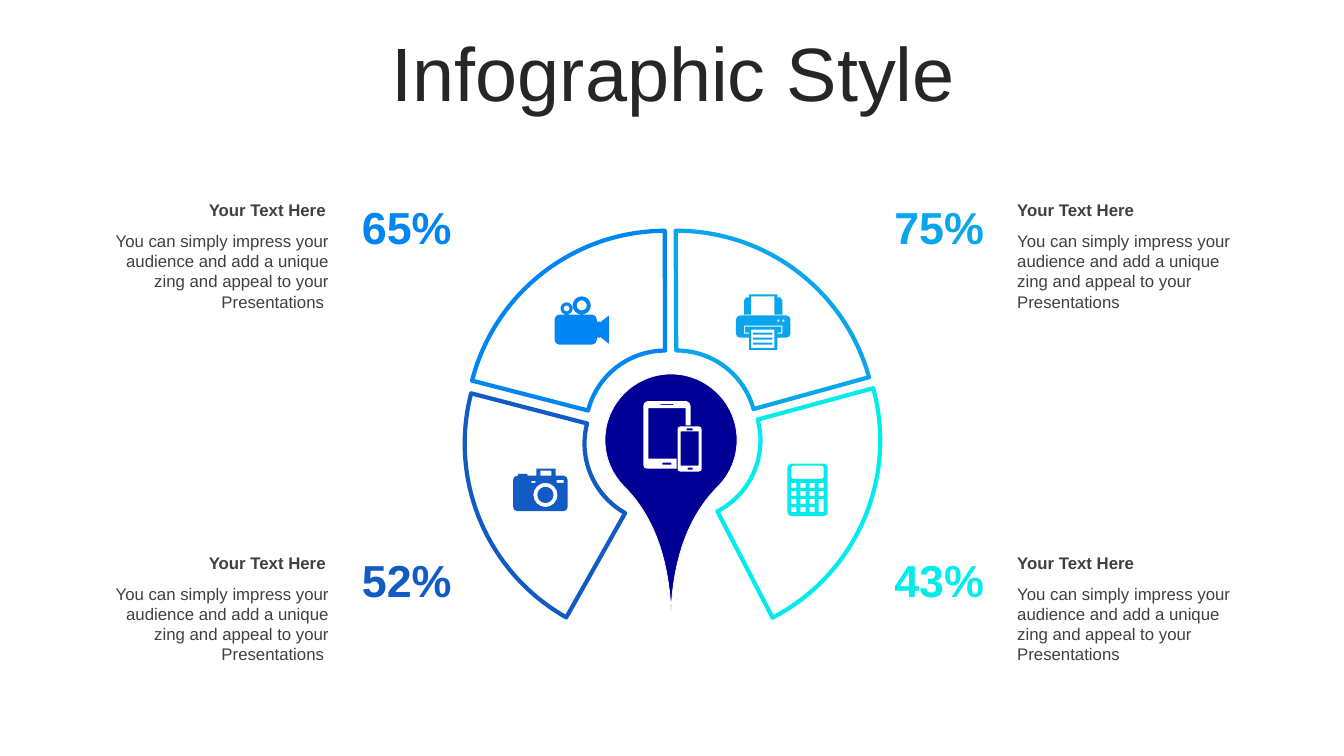
import math
from pptx import Presentation
from pptx import util as u
from pptx.dml.color import RGBColor
from pptx.enum import shapes, text

BLUE, SKY, CYAN, COBALT, NAVY = "0085F2", "0AA6ED", "02ECEC", "125AC4", "000096"
WHITE, DARK, GREY = "FFFFFF", "262626", "404040"
BODY = ("You can simply impress your audience and add a unique "
        "zing and appeal to your Presentations")


def paint(colour_format, value):
    colour_format.rgb = RGBColor.from_string(value)


def fill(shape, value):
    shape.shadow.inherit = False
    shape.fill.solid()
    paint(shape.fill.fore_color, value)


def outline(shape, value, points):
    paint(shape.line.color, value)
    shape.line.width = u.Pt(points)


def style(paragraph, size, colour, align, bold=False):
    paragraph.alignment = align
    paragraph.font.name = "Arial"
    paragraph.font.size = u.Pt(size)
    paragraph.font.bold = bold
    paint(paragraph.font.color, colour)


def label(slide, words, box, size, colour, align, bold=False):
    frame = slide.shapes.add_textbox(*map(u.Inches, box)).text_frame
    frame.word_wrap = True
    frame.auto_size = text.MSO_AUTO_SIZE.SHAPE_TO_FIT_TEXT
    frame.text = words
    style(frame.paragraphs[0], size, colour, align, bold)


# Outlines for the icons, in inches from the icon's corner
def rect(x, y, w, h):
    return [(x, y), (x + w, y), (x + w, y + h), (x, y + h)]


def rounded(x, y, w, h, r, steps=2):
    centres = [(x + w - r, y + h - r), (x + r, y + h - r),
               (x + r, y + r), (x + w - r, y + r)]
    return [(cx + r * math.cos(math.pi / 2 * (corner + step / steps)),
             cy + r * math.sin(math.pi / 2 * (corner + step / steps)))
            for corner, (cx, cy) in enumerate(centres)
            for step in range(steps + 1)]


def circle(cx, cy, r):
    points = 16 if r > 0.04 else 8
    return [(cx + r * math.cos(math.tau * step / points),
             cy + r * math.sin(math.tau * step / points))
            for step in range(points)]


def tablet_and_phone():
    tablet = [(0.04, 0), (0.43, 0), (0.46, 0.02), (0.47, 0.05), (0.47, 0.24),
              (0.42, 0.24), (0.42, 0.07), (0.05, 0.07), (0.05, 0.57),
              (0.33, 0.57), (0.33, 0.67), (0.04, 0.67), (0.01, 0.66),
              (0, 0.63), (0, 0.05), (0.01, 0.02)]
    return [tablet, rect(0.17, 0.03, 0.13, 0.01), rect(0.19, 0.61, 0.09, 0.02),
            rounded(0.34, 0.25, 0.24, 0.45, 0.03), rect(0.37, 0.3, 0.18, 0.34),
            rect(0.43, 0.27, 0.06, 0.02), rect(0.44, 0.66, 0.05, 0.02)]


def camcorder():
    cone = [(0.45, 0.26), (0.54, 0.19), (0.54, 0.47), (0.45, 0.4)]
    return [rounded(0, 0.18, 0.42, 0.3, 0.05), rect(0.42, 0.25, 0.03, 0.16),
            cone, circle(0.27, 0.09, 0.09), circle(0.27, 0.09, 0.05),
            circle(0.12, 0.12, 0.06), circle(0.12, 0.12, 0.03)]


def printer():
    feed = [(0.13, 0), (0.41, 0), (0.41, 0.03), (0.44, 0.03), (0.46, 0.06),
            (0.46, 0.2), (0.38, 0.2), (0.38, 0.02), (0.15, 0.02), (0.15, 0.2),
            (0.08, 0.2), (0.08, 0.06), (0.1, 0.03), (0.13, 0.03)]
    slot = [(0.08, 0.31), (0.46, 0.31), (0.46, 0.39), (0.41, 0.39),
            (0.41, 0.38), (0.45, 0.38), (0.45, 0.32), (0.09, 0.32),
            (0.09, 0.38), (0.13, 0.38), (0.13, 0.39), (0.08, 0.39)]
    lines = [rect(0.17, 0.38 + 0.05 * row, 0.19, 0.02) for row in range(3)]
    lights = [rect(x, 0.25, 0.02, 0.02) for x in (0.41, 0.46)]
    return [feed, rounded(0, 0.21, 0.54, 0.22, 0.04), slot,
            rect(0.13, 0.43, 0.28, 0.12), rect(0.15, 0.35, 0.23, 0.18),
            *lights, *lines]


def camera():
    return [rounded(0, 0.07, 0.54, 0.35, 0.04),
            rect(0.23, 0, 0.19, 0.07), rect(0.27, 0.02, 0.11, 0.05),
            rect(0.05, 0.05, 0.09, 0.02), circle(0.32, 0.26, 0.12),
            circle(0.32, 0.26, 0.08), rect(0.18, 0.12, 0.04, 0.02),
            rect(0.43, 0.11, 0.07, 0.03)]


def calculator():
    keys = [rect(0.04 + 0.09 * column, 0.19 + 0.08 * row, 0.05, 0.05)
            for row in range(4) for column in range(4)
            if column < 3 or row < 2]
    return [rounded(0, 0, 0.4, 0.52, 0.04), rounded(0.04, 0.02, 0.32, 0.13, 0.02),
            rect(0.31, 0.35, 0.05, 0.13), *keys]


def icon(slide, left, top, contours, colour):
    placed = [[(u.Inches(left + x), u.Inches(top + y)) for x, y in contour]
              for contour in contours]
    builder = slide.shapes.build_freeform(*placed[0][0], scale=1.0)
    for number, contour in enumerate(placed):
        if number:
            builder.move_to(*contour[0])
        builder.add_line_segments(contour[1:], close=True)
    drawing = builder.convert_to_shape()
    fill(drawing, colour)
    drawing.line.fill.background()


def heading(slide, box):
    title = slide.shapes.title
    title.left, title.top, title.width, title.height = map(u.Inches, box)
    frame = title.text_frame
    frame.text = "Infographic Style"
    frame.auto_size = text.MSO_AUTO_SIZE.NONE
    frame.vertical_anchor = text.MSO_ANCHOR.MIDDLE
    frame.paragraphs[0].line_spacing = 0.9
    style(frame.paragraphs[0], 54, DARK, text.PP_ALIGN.CENTER)


def ring(slide, left, top):
    # Four segments: offset, rotation, start and end angle, colour
    size = u.Inches(3.96)
    for dx, dy, turn, start, end, colour in (
            (0.01, 0, 0, 116.65, 161.88, BLUE),
            (0.12, 0, 75, 116.85, 161.74, SKY),
            (0.16, 0.1, 153, 115.08, 161.74, CYAN),
            (0, 0.13, 285, 116.65, 161.74, COBALT)):
        segment = slide.shapes.add_shape(
            shapes.MSO_SHAPE.BLOCK_ARC, u.Inches(left + dx), u.Inches(top + dy),
            size, size)
        for index, value in enumerate((start, end, 0.3)):
            segment.adjustments[index] = value
        segment.rotation = turn
        fill(segment, WHITE)
        outline(segment, colour, 3)

    # Pin in the middle
    pin = slide.shapes.add_shape(
        shapes.MSO_SHAPE.TEAR, u.Inches(left + 1.39), u.Inches(top + 1.42),
        u.Inches(1.31), u.Inches(1.31))
    pin.adjustments[0] = 1.83
    pin.rotation = 135
    fill(pin, NAVY)
    outline(pin, WHITE, 0.5)

    # Icons
    for dx, dy, contours, colour in (
            (1.77, 1.69, tablet_and_phone(), WHITE),
            (0.89, 0.65, camcorder(), BLUE), (2.69, 0.63, printer(), SKY),
            (0.48, 2.36, camera(), COBALT), (3.2, 2.31, calculator(), CYAN)):
        icon(slide, left + dx, top + dy, contours, colour)


def callout(slide, left, top, percent, colour, on_left):
    if on_left:
        percent_left, words_left, align = left + 2.5, left, text.PP_ALIGN.RIGHT
        heading_left, body = left - 0.01, BODY + " "
    else:
        percent_left, words_left, align = left, left + 1.24, text.PP_ALIGN.LEFT
        heading_left, body = words_left, BODY
    label(slide, body, (words_left, top + 0.31, 2.39, 0.91), 12, GREY, align)
    label(slide, "Your Text Here", (heading_left, top, 2.37, 0.3), 12, GREY,
          align, True)
    label(slide, percent, (percent_left, top, 1.13, 0.64), 32, colour,
          text.PP_ALIGN.CENTER, True)


def main():
    deck = Presentation()
    deck.slide_width, deck.slide_height = u.Inches(13.33), u.Inches(7.5)
    slide = deck.slides.add_slide(deck.slide_layouts.get_by_name("Title Only"))
    heading(slide, (0.35, 0.37, 12.66, 0.79))
    ring(slide, 4.61, 2.29)
    upper, lower = 1.93, 5.43
    callout(slide, 8.75, upper, "75%", SKY, False)
    callout(slide, 8.75, lower, "43%", CYAN, False)
    callout(slide, 0.97, upper, "65%", BLUE, True)
    callout(slide, 0.97, lower, "52%", COBALT, True)
    deck.save("out.pptx")


if __name__ == "__main__":
    main()
